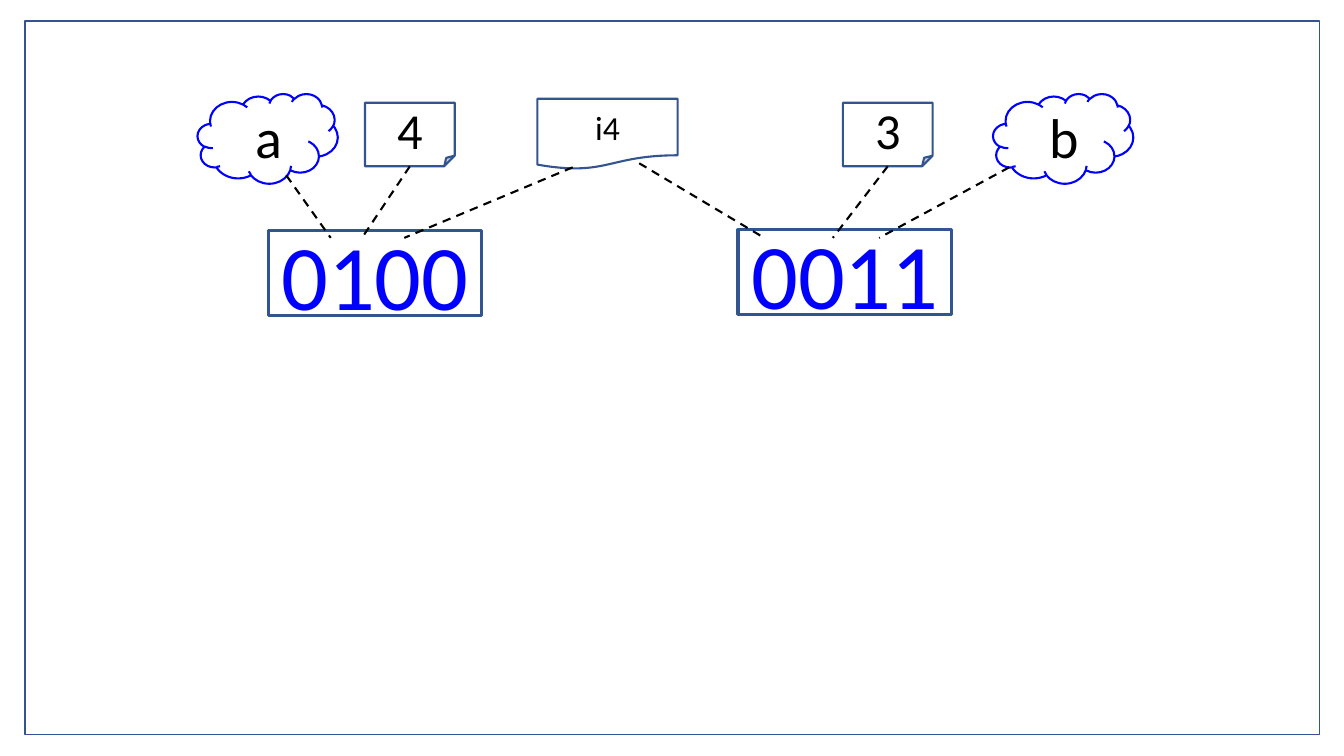
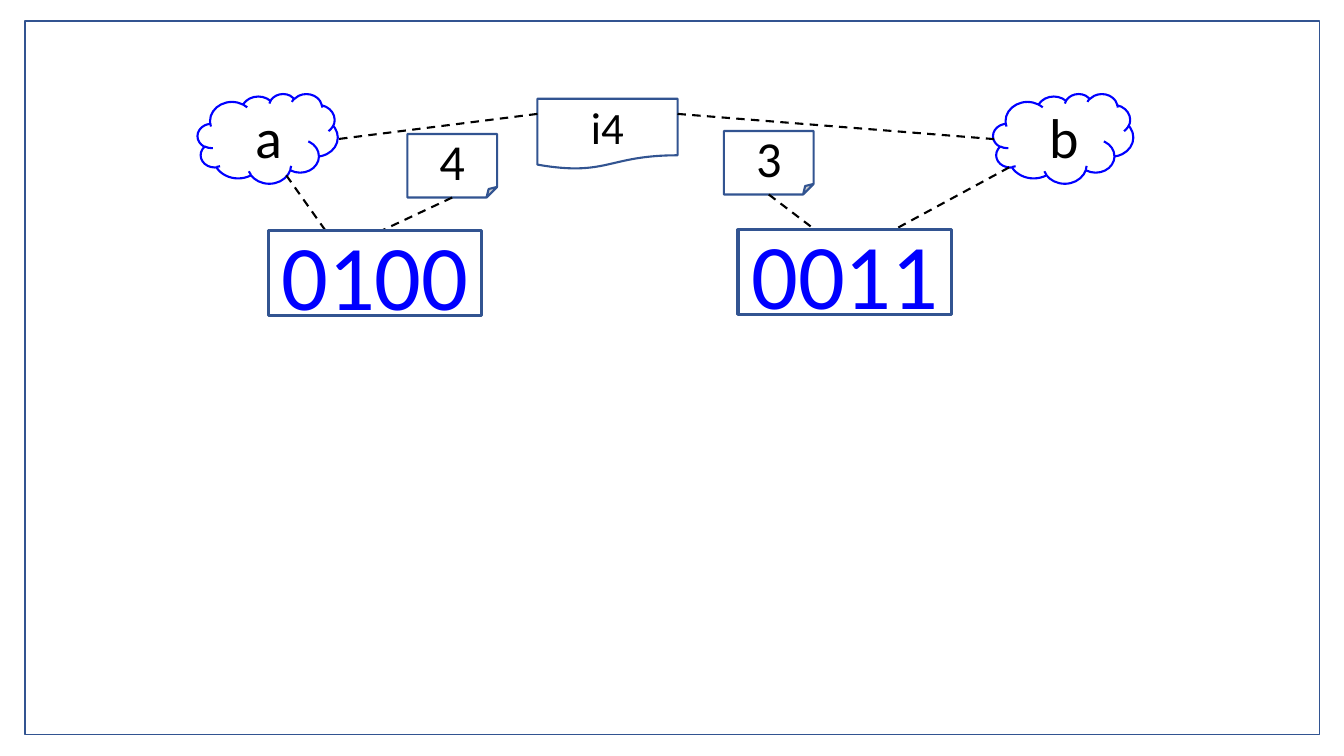
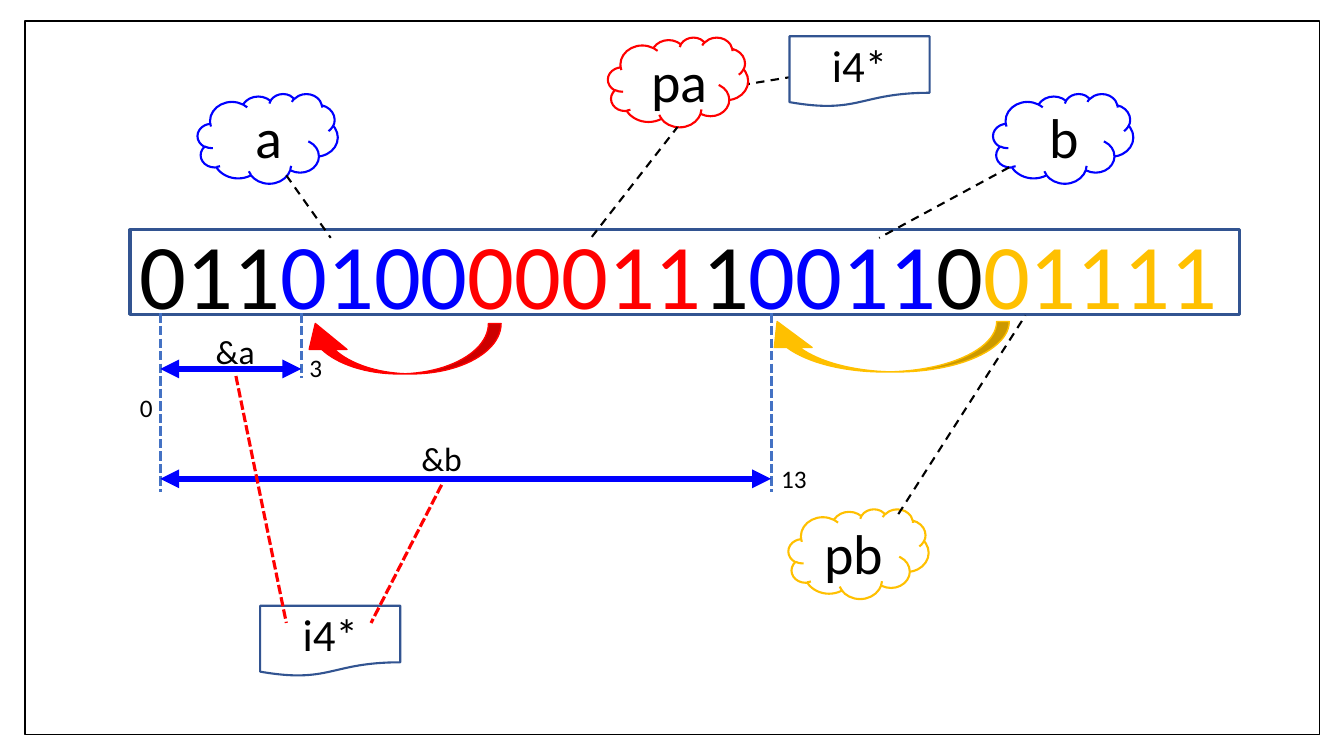
from lxml import etree
from pptx import Presentation
from pptx import util as u
from pptx.dml.color import RGBColor
from pptx.enum import dml, shapes, text
from pptx.oxml.ns import qn

COLORS = {
    "white": "FFFFFF", "black": "000000", "border": "325491", "guide": "4472C4",
    "blue": "0000FF", "red": "FF0000", "gold": "FFC000",
}
FONT = "Calibri"
KIND = shapes.MSO_SHAPE
DASH = dml.MSO_LINE.DASH
SHORT_DASH = dml.MSO_LINE.SQUARE_DOT

CLOUD_SIZE, CARD_SIZE, TYPE_SIZE = (1.39, 0.89), (0.89, 0.63), (1.39, 0.7)
CELL_HEIGHT, CELL_WIDTH = 0.84, 2.12
FIRST_BIT, BIT_PITCH, MEMORY_BOTTOM = 1.59, 0.466, 3.11

VARIABLES = [(" a", 1.96, 0.93), (" b", 9.85, 0.93)]
VARIABLE_LINKS = [((2.84, 1.74), (3.28, 2.36)), ((10.01, 1.66), (8.72, 2.36))]
CELLS = [("0100", 2.66, 2.29), ("0011", 7.32, 2.28)]

VALUE_SLIDES = [
    {
        "type_size": 24,
        "cards": [("4", 3.62, 1.02, (3.59, 2.36)), ("3", 8.36, 1.02, (8.26, 2.36))],
        "type_links": [((5.68, 1.66), (4.01, 2.36)), ((6.34, 1.62), (7.58, 2.36))],
        "cells_in_front": False,
    },
    {
        "type_size": 32,
        "cards": [("4", 4.04, 1.33, (3.76, 2.3)), ("3", 7.18, 1.3, (8.19, 2.36))],
        "type_links": [((5.33, 1.13), (3.35, 1.38)), ((6.72, 1.13), (9.86, 1.38))],
        "cells_in_front": True,
    },
]

MEMORY = [
    ("011", "black"), ("0100", "blue"), ("00011", "red"), ("1", "black"),
    ("0011", "blue"), ("0", "black"), ("01111", "gold"),
]
GUIDES = [(0, 4.88), (3, 3.75), (13, 4.88)]
OFFSETS = [(3, 3.66), (13, 4.75)]
LABELS = [
    ("&a", 2.04, 3.23, 0.59, 0.5, 24), ("&b", 4.08, 4.3, 0.61, 0.5, 24),
    ("0", 1.29, 3.84, 0.33, 0.4, 18), ("3", 2.97, 3.45, 0.33, 0.4, 18),
    ("13", 7.65, 4.55, 0.46, 0.4, 18),
]
ADDRESS_LINKS = [((2.34, 3.73), (2.84, 6.18)), ((4.38, 4.81), (3.68, 6.18))]
POINTERS = [(" pa", 6.03, 0.37, "red"), ("pb", 7.82, 5.05, "gold")]
POINTER_LINKS = [((5.87, 2.35), (6.72, 1.26)), ((8.91, 5.1), (10.17, 3.13))]
JUMPS = [(2.94, 3.21, 2.03, "red"), (7.52, 3.19, 2.49, "gold")]


def rgb(name):
    return RGBColor.from_string(COLORS[name])


def write(frame, runs, size, align=None):
    paragraph = frame.paragraphs[0]
    paragraph.alignment = align
    paragraph.font.name = FONT
    paragraph.font.size = u.Pt(size)
    if len(runs) == 1:
        paragraph.font.color.rgb = rgb(runs[0][1])
    for words, color in runs:
        run = paragraph.add_run()
        run.text = words
        if len(runs) > 1:
            run.font.color.rgb = rgb(color)


def outline(slide, kind, x, y, size, line="border", weight=1.5, fill="white"):
    shape = slide.shapes.add_shape(kind, *map(u.Inches, (x, y, *size)))
    shape.shadow.inherit = False
    shape.fill.solid()
    shape.fill.fore_color.rgb = rgb(fill)
    shape.line.color.rgb = rgb(line)
    shape.line.width = u.Pt(weight)
    return shape


def node(slide, kind, x, y, size, words, points, color="black", **style):
    shape = outline(slide, kind, x, y, size, **style)
    write(shape.text_frame, [(words, color)], points, text.PP_ALIGN.CENTER)
    return shape


def cloud(slide, words, x, y, color="blue"):
    node(slide, KIND.CLOUD, x, y, CLOUD_SIZE, words, 40, line=color)


def type_tag(slide, words, x, y, points=32):
    node(slide, KIND.FLOWCHART_DOCUMENT, x, y, TYPE_SIZE, words, points)


def link(slide, start, end, color="black", weight=1.5, dash=DASH, arrows=False):
    connector = slide.shapes.add_connector(
        shapes.MSO_CONNECTOR.STRAIGHT, *map(u.Inches, (*start, *end)))
    connector.line.color.rgb = rgb(color)
    connector.line.width = u.Pt(weight)
    if dash:
        connector.line.dash_style = dash
    properties = connector.element.spPr
    if arrows:
        for tip in ("a:headEnd", "a:tailEnd"):
            etree.SubElement(properties.find(qn("a:ln")), qn(tip), type="triangle")
    etree.SubElement(properties, qn("a:effectLst"))
    return connector


def framed_slide(deck, line="border"):
    slide = deck.slides.add_slide(deck.slide_layouts[6])
    outline(slide, KIND.RECTANGLE, 0.25, 0.21, (12.84, 7.08), line, 1)
    return slide


def add_variables(slide):
    for variable in VARIABLES:
        cloud(slide, *variable)
    for start, end in VARIABLE_LINKS:
        link(slide, start, end)


def add_cells(slide):
    for bits, x, y in CELLS:
        node(slide, KIND.RECTANGLE, x, y, (CELL_WIDTH, CELL_HEIGHT), bits, 66,
             "blue", weight=2.25)


def value_slide(deck, content):
    slide = framed_slide(deck)
    if not content["cells_in_front"]:
        add_cells(slide)
    add_variables(slide)
    type_tag(slide, "i4", 5.33, 0.98, content["type_size"])
    for value, x, y, target in content["cards"]:
        card = node(slide, KIND.FOLDED_CORNER, x, y, CARD_SIZE, value, 36)
        link(slide, (x, y), target).begin_connect(card, 2)
    for start, end in content["type_links"]:
        link(slide, start, end)
    if content["cells_in_front"]:
        add_cells(slide)


def bit_x(index):
    return FIRST_BIT + BIT_PITCH * index


def pointer_slide(deck):
    slide = framed_slide(deck, "black")
    memory = outline(slide, KIND.RECTANGLE, 1.29, 2.28, (11, CELL_HEIGHT), weight=2.25)
    write(memory.text_frame, MEMORY, 66, text.PP_ALIGN.LEFT)
    add_variables(slide)
    link(slide, (7.87, 0.76), (7.38, 0.84))
    type_tag(slide, "i4*", 7.83, 0.36)
    for index, bottom in GUIDES:
        link(slide, (bit_x(index), MEMORY_BOTTOM), (bit_x(index), bottom),
             "guide", 2.25, SHORT_DASH)
    for index, y in OFFSETS:
        link(slide, (bit_x(0), y), (bit_x(index), y), "blue", 4.5, None, arrows=True)
    for words, x, y, width, height, points in LABELS:
        label = slide.shapes.add_textbox(*map(u.Inches, (x, y, width, height))).text_frame
        label.word_wrap = False
        label.auto_size = text.MSO_AUTO_SIZE.SHAPE_TO_FIT_TEXT
        write(label, [(words, "black")], points)
    type_tag(slide, "i4*", 2.58, 6.01)
    for start, end in ADDRESS_LINKS:
        link(slide, start, end, "red", 2.25, SHORT_DASH)
    for pointer in POINTERS:
        cloud(slide, *pointer)
    for start, end in POINTER_LINKS:
        link(slide, start, end)
    for x, y, width, color in JUMPS:
        jump = outline(slide, KIND.CURVED_UP_ARROW, x, y, (width, 0.5), color, 1, color)
        jump.element.spPr.find(qn("a:xfrm")).set("flipH", "1")
        for index, amount in enumerate((0.25, 0.75, 0.515)):
            jump.adjustments[index] = amount


def main():
    deck = Presentation()
    deck.slide_width, deck.slide_height = u.Inches(13.33), u.Inches(7.5)
    for content in VALUE_SLIDES:
        value_slide(deck, content)
    pointer_slide(deck)
    deck.save("out.pptx")


if __name__ == "__main__":
    main()
